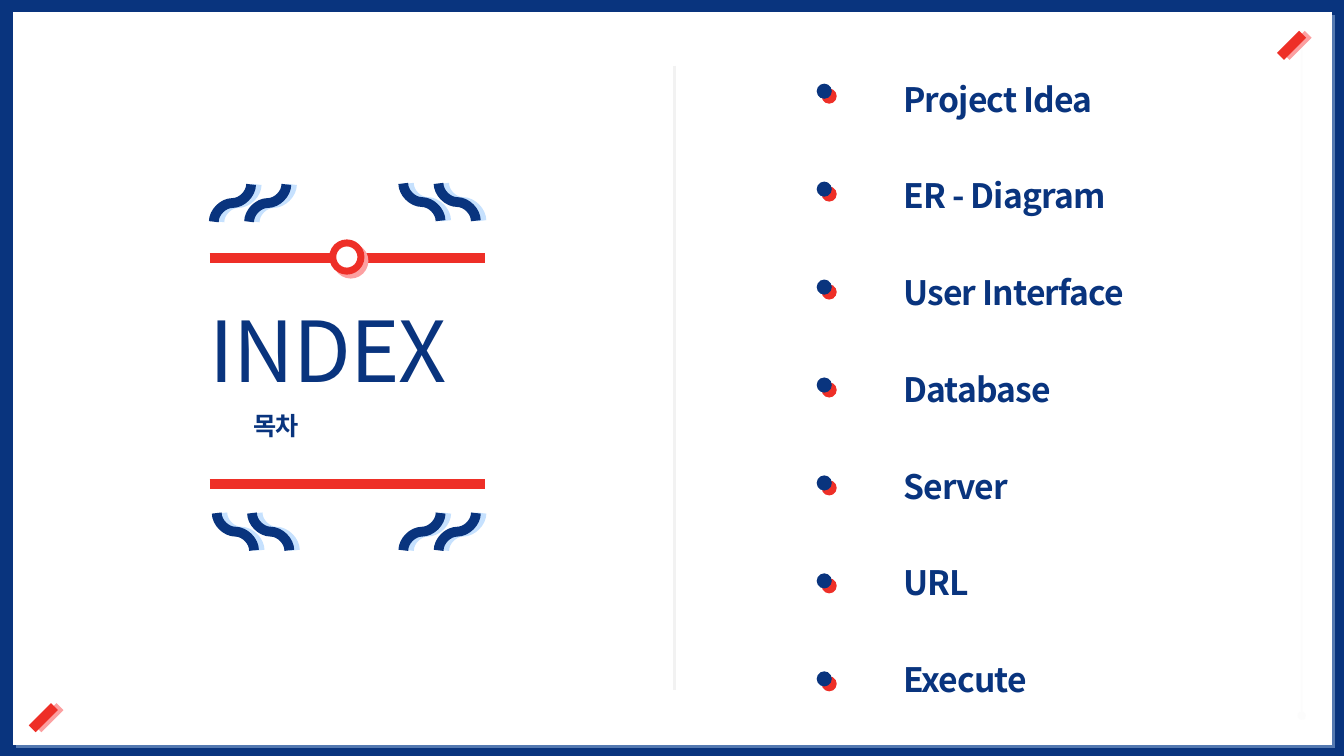
from lxml import etree
from pptx import Presentation, util as u
from pptx.dml.color import RGBColor
from pptx.enum import shapes, text
from pptx.oxml.ns import qn

WIDTH, HEIGHT = 13.33, 7.5
FONT = "Noto Sans CJK KR"
COLORS = {
    "navy": "09347E", "white": "FFFFFF", "red": "EE2F27",
    "pink": "FCA0A1", "sky": "C6E1FE", "grey": "F2F2F2",
}
TOPICS = ["Project Idea", "ER - Diagram", "User Interface", "Database",
          "Server", "URL", "Execute"]
DOT_TOP, DOT_BOTTOM = 0.83, 6.66
DOT_PITCH = (DOT_BOTTOM - DOT_TOP) / (len(TOPICS) - 1)
EMBLEM_LEFT, EMBLEM_RIGHT = 2.08, 4.81
WAVE_SIZE, WAVE_STEP = 0.37, 0.35


def rgb(name):
    return RGBColor.from_string(COLORS[name])


def add_effects(shape, color=None, distance=0, angle=0, alpha=100):
    """Give the shape an offset shadow, or an empty effect list without a color."""
    properties = shape._element.spPr
    for old in properties.findall(qn("a:effectLst")):
        properties.remove(old)
    effects = etree.SubElement(properties, qn("a:effectLst"))
    if color:
        shadow = etree.SubElement(effects, qn("a:outerShdw"), blurRad="0",
                                  dist=str(u.Pt(distance)), dir=str(angle * 60000),
                                  algn="tl", rotWithShape="0")
        tint = etree.SubElement(shadow, qn("a:srgbClr"), val=COLORS[color])
        etree.SubElement(tint, qn("a:alpha"), val=str(alpha * 1000))


def add_figure(page, kind, left, top, width, height, fill):
    figure = page.shapes.add_shape(kind, *map(u.Inches, (left, top, width, height)))
    figure.fill.solid()
    figure.fill.fore_color.rgb = rgb(fill)
    figure.line.fill.background()
    return figure


def add_line(page, start, end, color, weight, kind=shapes.MSO_CONNECTOR.STRAIGHT):
    line = page.shapes.add_connector(kind, *map(u.Inches, (*start, *end)))
    line.line.color.rgb = rgb(color)
    line.line.width = u.Pt(weight)
    add_effects(line)
    return line


def add_faint_rule(page):
    rule = add_line(page, (12.91, 0.34), (12.91, 7.1), "grey", 1)
    outline = rule.line._get_or_add_ln()
    tint = outline.find(".//" + qn("a:srgbClr"))
    etree.SubElement(tint, qn("a:alpha"), val="22000")
    for end in ("a:headEnd", "a:tailEnd"):
        etree.SubElement(outline, qn(end), type="oval")


def add_wave_pair(page, left, top, rising):
    """Draw two S curves side by side, rising or falling to the right."""
    for index in range(2):
        start = left + index * WAVE_STEP
        wave = add_line(page, (start, top), (start + WAVE_SIZE, top + WAVE_SIZE),
                        "navy", 7, shapes.MSO_CONNECTOR.CURVE)
        frame = wave._element.spPr.find(qn("a:xfrm"))
        frame.set("rot", str((90 if rising else 270) * 60000))
        if not rising:
            frame.set("flipH", "1")
        add_effects(wave, "sky", 4)


def add_text(page, place, lines, size, bold=False, spacing=1.0, gap=0,
             align=text.PP_ALIGN.LEFT, anchor=text.MSO_ANCHOR.MIDDLE):
    box = page.shapes.add_textbox(*map(u.Inches, place))
    frame = box.text_frame
    frame.word_wrap = True
    frame.vertical_anchor = anchor
    frame.margin_left = frame.margin_right = frame.margin_top = frame.margin_bottom = 0
    frame.text = "\n".join(lines)
    for para in frame.paragraphs:
        para.alignment = align
        para.line_spacing = spacing
        para.space_after = u.Pt(gap)
        font = para.font
        font.size, font.bold, font.name = u.Pt(size), bold, FONT
        font.color.rgb = rgb("navy")
        font._element.set("spc", "-60")
        etree.SubElement(font._element, qn("a:ea"), typeface=FONT)


def add_frame(page):
    page.background.fill.solid()
    page.background.fill.fore_color.rgb = rgb("navy")
    panel = add_figure(page, shapes.MSO_SHAPE.RECTANGLE, 0.13, 0.12, 13.08, 7.27, "white")
    add_effects(panel, "sky", 3, 45, 40)
    add_faint_rule(page)
    add_line(page, (6.69, 0.65), (6.69, 6.85), "grey", 2.5)
    for right, top in ((12.92, 0.34), (0.54, 7.01)):
        dash = add_line(page, (right, top), (right - 0.22, top + 0.22), "red", 7)
        add_effects(dash, "pink", 4)


def add_emblem(page):
    for height in (2.56, 4.8):
        add_line(page, (EMBLEM_LEFT, height), (EMBLEM_RIGHT, height), "red", 7)
    ring = add_figure(page, shapes.MSO_SHAPE.OVAL, 3.3, 2.41, 0.28, 0.28, "white")
    ring.line.color.rgb = rgb("red")
    ring.line.width = u.Pt(5)
    add_effects(ring, "pink", 4, 45)
    for left, top, rising in ((2.12, 1.83, True), (4, 1.82, False),
                              (2.15, 5.09, False), (4, 5.09, True)):
        add_wave_pair(page, left, top, rising)
    justify = text.PP_ALIGN.JUSTIFY
    add_text(page, (EMBLEM_LEFT, 3.05, EMBLEM_RIGHT - EMBLEM_LEFT, 0.62),
             ["INDEX"], 60, spacing=1.2, align=justify)
    add_text(page, (2.51, 4.02, 1.86, 0.34), ["목차"], 18, bold=True,
             spacing=1.2, align=justify)


def add_topics(page):
    add_text(page, (8.96, 0.78, 2.62, 6.6), TOPICS, 24, bold=True, gap=40.3,
             anchor=text.MSO_ANCHOR.TOP)
    for row in range(len(TOPICS)):
        dot = add_figure(page, shapes.MSO_SHAPE.OVAL, 8.1, DOT_TOP + row * DOT_PITCH,
                         0.15, 0.15, "navy")
        add_effects(dot, "red", 5, 45)


def main():
    deck = Presentation()
    deck.slide_width, deck.slide_height = u.Inches(WIDTH), u.Inches(HEIGHT)
    page = deck.slides.add_slide(deck.slide_layouts[6])
    add_frame(page)
    add_emblem(page)
    add_topics(page)
    deck.save("out.pptx")


if __name__ == "__main__":
    main()
